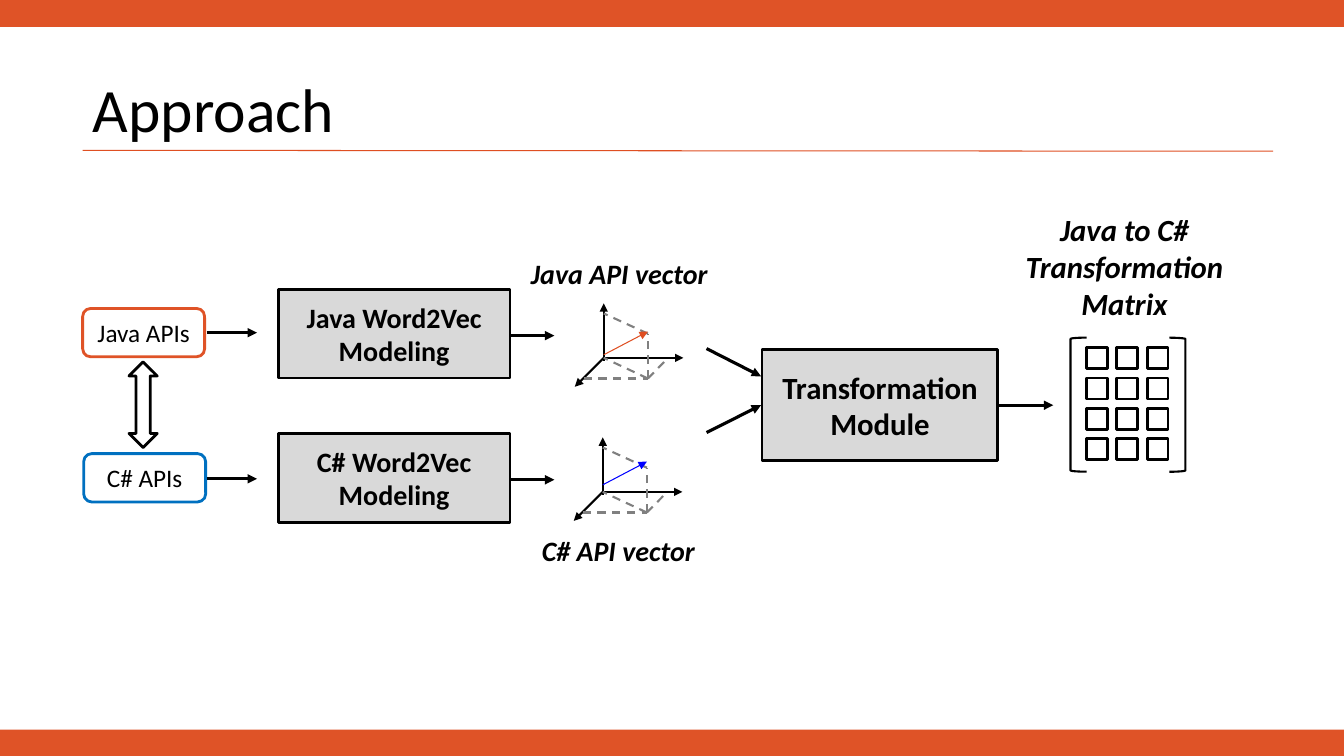
from dataclasses import dataclass
from itertools import product

from lxml.etree import SubElement
from pptx import Presentation
from pptx.dml.color import RGBColor
from pptx.enum.dml import MSO_LINE
from pptx.enum.shapes import MSO_CONNECTOR, MSO_SHAPE
from pptx.enum.text import MSO_ANCHOR, MSO_AUTO_SIZE, PP_ALIGN
from pptx.oxml.ns import qn
from pptx.shapes.autoshape import Shape
from pptx.shapes.connector import Connector
from pptx.slide import Slide
from pptx.text.text import TextFrame
from pptx.util import Inches, Pt

COLUMNS, ROWS = 160, 90
SLIDE_WIDTH, SLIDE_HEIGHT = Inches(13.33), Inches(7.5)

BLACK, WHITE, GRAY, SILVER = "000000", "FFFFFF", "808080", "D9D9D9"
ORANGE, RULE_ORANGE, BLUE, VECTOR_BLUE = "DF5327", "DF4F22", "0070C0", "0000FF"


@dataclass(frozen=True)
class Area:
    column: float
    row: float
    columns: float
    rows: float

    def place(self, shape: Shape) -> None:
        shape.left, shape.top = across(self.column), down(self.row)
        shape.width, shape.height = across(self.columns), down(self.rows)


@dataclass(frozen=True)
class Stroke:
    start: tuple[float, float]
    end: tuple[float, float]
    color: str = BLACK
    weight: float = 2.25
    arrow: bool = True
    dashed: bool = False


@dataclass(frozen=True)
class TextStyle:
    size: float
    bold: bool = False
    italic: bool = False


@dataclass(frozen=True)
class Pipeline:
    language: str
    source: Area
    source_color: str
    flow_row: float
    modeling: Area
    modeling_row: float
    origin: tuple[float, float]
    vector_rise: float
    vector_color: str
    caption: Area


SOURCE_STYLE = TextStyle(18)
MODELING_STYLE = TextStyle(20, bold=True)
MODULE_STYLE = TextStyle(22, bold=True)
VECTOR_CAPTION = TextStyle(20, bold=True, italic=True)
MATRIX_CAPTION = TextStyle(22, bold=True, italic=True)

PIPELINES = (
    Pipeline("Java", Area(9.84, 36.72, 14.52, 5.76), ORANGE, 39.6,
             Area(33.12, 34.44, 27.6, 10.56), 39.96,
             (71.88, 42.6), 0.36, RULE_ORANGE, Area(61.08, 29.88, 25.32, 5.28)),
    Pipeline("C#", Area(9.96, 54, 14.52, 5.76), BLUE, 57,
             Area(33.12, 51.6, 27.6, 10.56), 57.12,
             (71.76, 58.56), 0.84, VECTOR_BLUE, Area(60.96, 62.88, 25.32, 5.28)),
)
AXES = (((0, 0), (9.48, 0)), ((0, 0.36), (0, -6.48)), ((0, 0), (-3.45, 3.45)))
FLOOR_CORNER, VECTOR_TIP = (5.25, 2.46), (5.25, -2.88)
PROJECTIONS = (
    (VECTOR_TIP, (0, -5.28)),
    (FLOOR_CORNER, VECTOR_TIP),
    (FLOOR_CORNER, (7.68, 0)),
    ((-2.4, 2.46), FLOOR_CORNER),
    (FLOOR_CORNER, (0, 0)),
)
MODULE_ARROWS = (
    Stroke((118.8, 48.24), (125.4, 48.24)),
    Stroke((84.12, 41.5), (90.6, 44.8)),
    Stroke((84.12, 51.5), (90.6, 48.24)),
)
MATRIX_ROWS, MATRIX_COLUMNS = 4, 3
CELL_PITCH, CELL_SIZE = 3.6, 2.5


def across(columns: float) -> int:
    return round(SLIDE_WIDTH * columns / COLUMNS)


def down(rows: float) -> int:
    return round(SLIDE_HEIGHT * rows / ROWS)


def color(value: str) -> RGBColor:
    return RGBColor.from_string(value)


def write(frame: TextFrame, lines: tuple[str, ...], style: TextStyle,
          align: PP_ALIGN = PP_ALIGN.CENTER,
          anchor: MSO_ANCHOR = MSO_ANCHOR.MIDDLE) -> None:
    frame.text = "\n".join(lines)
    frame.word_wrap = True
    frame.auto_size = MSO_AUTO_SIZE.NONE
    frame.vertical_anchor = anchor
    for paragraph in frame.paragraphs:
        paragraph.alignment = align
        font = paragraph.font
        font.name, font.size = "Calibri", Pt(style.size)
        font.bold, font.italic = style.bold, style.italic
        font.color.rgb = color(BLACK)


def add_block(slide: Slide, kind: MSO_SHAPE, area: Area, fill: str | None = None,
              outline: str | None = BLACK, weight: float = 2) -> Shape:
    block = slide.shapes.add_shape(kind, 0, 0, 0, 0)
    area.place(block)
    block.shadow.inherit = False
    if fill:
        block.fill.solid()
        block.fill.fore_color.rgb = color(fill)
    else:
        block.fill.background()
    if outline:
        block.line.color.rgb = color(outline)
        block.line.width = Pt(weight)
    else:
        block.line.fill.background()
    return block


def add_caption(slide: Slide, area: Area, lines: tuple[str, ...], style: TextStyle) -> None:
    caption = slide.shapes.add_textbox(0, 0, 0, 0)
    area.place(caption)
    write(caption.text_frame, lines, style)


def add_stroke(slide: Slide, stroke: Stroke) -> Connector:
    (x1, y1), (x2, y2) = stroke.start, stroke.end
    connector = slide.shapes.add_connector(
        MSO_CONNECTOR.STRAIGHT, across(x1), down(y1), across(x2), down(y2))
    line = connector.line
    line.color.rgb = color(stroke.color)
    line.width = Pt(stroke.weight)
    if stroke.dashed:
        line.dash_style = MSO_LINE.DASH
    properties = connector._element.spPr
    if stroke.arrow:
        SubElement(properties.find(qn("a:ln")), qn("a:tailEnd"), type="triangle")
    SubElement(properties, qn("a:effectLst"))
    return connector


def add_vector_plot(slide: Slide, pipeline: Pipeline) -> None:
    def shifted(point: tuple[float, float]) -> tuple[float, float]:
        return pipeline.origin[0] + point[0], pipeline.origin[1] + point[1]

    for start, end in AXES:
        add_stroke(slide, Stroke(shifted(start), shifted(end), weight=1.5))
    for start, end in PROJECTIONS:
        add_stroke(slide, Stroke(shifted(start), shifted(end), GRAY, 1.5, False, True))
    rise = pipeline.vector_rise
    add_stroke(slide, Stroke(shifted((0, -rise)), shifted((5.25, -rise - 2.76)),
                             pipeline.vector_color, 0.75))
    add_caption(slide, pipeline.caption, (f"{pipeline.language} API vector",), VECTOR_CAPTION)


def add_pipeline(slide: Slide, pipeline: Pipeline) -> None:
    source = add_block(slide, MSO_SHAPE.ROUNDED_RECTANGLE, pipeline.source,
                       outline=pipeline.source_color)
    write(source.text_frame, (f"{pipeline.language} APIs",), SOURCE_STYLE)
    modeling = add_block(slide, MSO_SHAPE.RECTANGLE, pipeline.modeling, SILVER)
    write(modeling.text_frame, (f"{pipeline.language} Word2Vec Modeling",), MODELING_STYLE)
    add_stroke(slide, Stroke((24.6, pipeline.flow_row), (30.6, pipeline.flow_row)))
    add_stroke(slide, Stroke((60.72, pipeline.modeling_row), (66, pipeline.modeling_row)))
    add_vector_plot(slide, pipeline)


def add_matrix(slide: Slide) -> None:
    add_caption(slide, Area(116.04, 25.44, 35.64, 12.6),
                ("Java to C#", "Transformation Matrix"), MATRIX_CAPTION)
    for row, column in product(range(MATRIX_ROWS), range(MATRIX_COLUMNS)):
        add_block(slide, MSO_SHAPE.RECTANGLE,
                  Area(129.36 + column * CELL_PITCH, 41.4 + row * CELL_PITCH,
                       CELL_SIZE, CELL_SIZE))
    for column, rotation in ((127.44, 0), (139.2, 180)):
        bracket = add_block(slide, MSO_SHAPE.LEFT_BRACKET,
                            Area(column, 40.2, 1.92, 15.96), weight=1.5)
        bracket.rotation = rotation


def add_heading(slide: Slide) -> None:
    title = slide.shapes.title
    Area(9.84, 8.04, 141.84, 9.96).place(title)
    write(title.text_frame, ("Approach",), TextStyle(44), PP_ALIGN.LEFT, MSO_ANCHOR.BOTTOM)
    title.text_frame.paragraphs[0].line_spacing = 0.9
    panel = add_block(slide, MSO_SHAPE.RECTANGLE, Area(0, 3.24, COLUMNS, 83.64), WHITE, None)
    rule = add_stroke(slide, Stroke((9.84, 17.9), (151.56, 18), RULE_ORANGE, 0.75, False))
    for backdrop in (panel, rule):
        title._element.addprevious(backdrop._element)


def main() -> None:
    deck = Presentation()
    deck.slide_width, deck.slide_height = SLIDE_WIDTH, SLIDE_HEIGHT
    slide = deck.slides.add_slide(deck.slide_layouts[5])
    slide.background.fill.solid()
    slide.background.fill.fore_color.rgb = color(ORANGE)
    add_heading(slide)
    module = add_block(slide, MSO_SHAPE.RECTANGLE, Area(90.72, 41.64, 28.08, 13.2), SILVER)
    write(module.text_frame, ("Transformation Module",), MODULE_STYLE)
    for arrow in MODULE_ARROWS:
        add_stroke(slide, arrow)
    add_matrix(slide)
    add_block(slide, MSO_SHAPE.UP_DOWN_ARROW, Area(15.36, 43.08, 3.36, 10.2), WHITE)
    for pipeline in PIPELINES:
        add_pipeline(slide, pipeline)
    deck.save("out.pptx")


if __name__ == "__main__":
    main()
